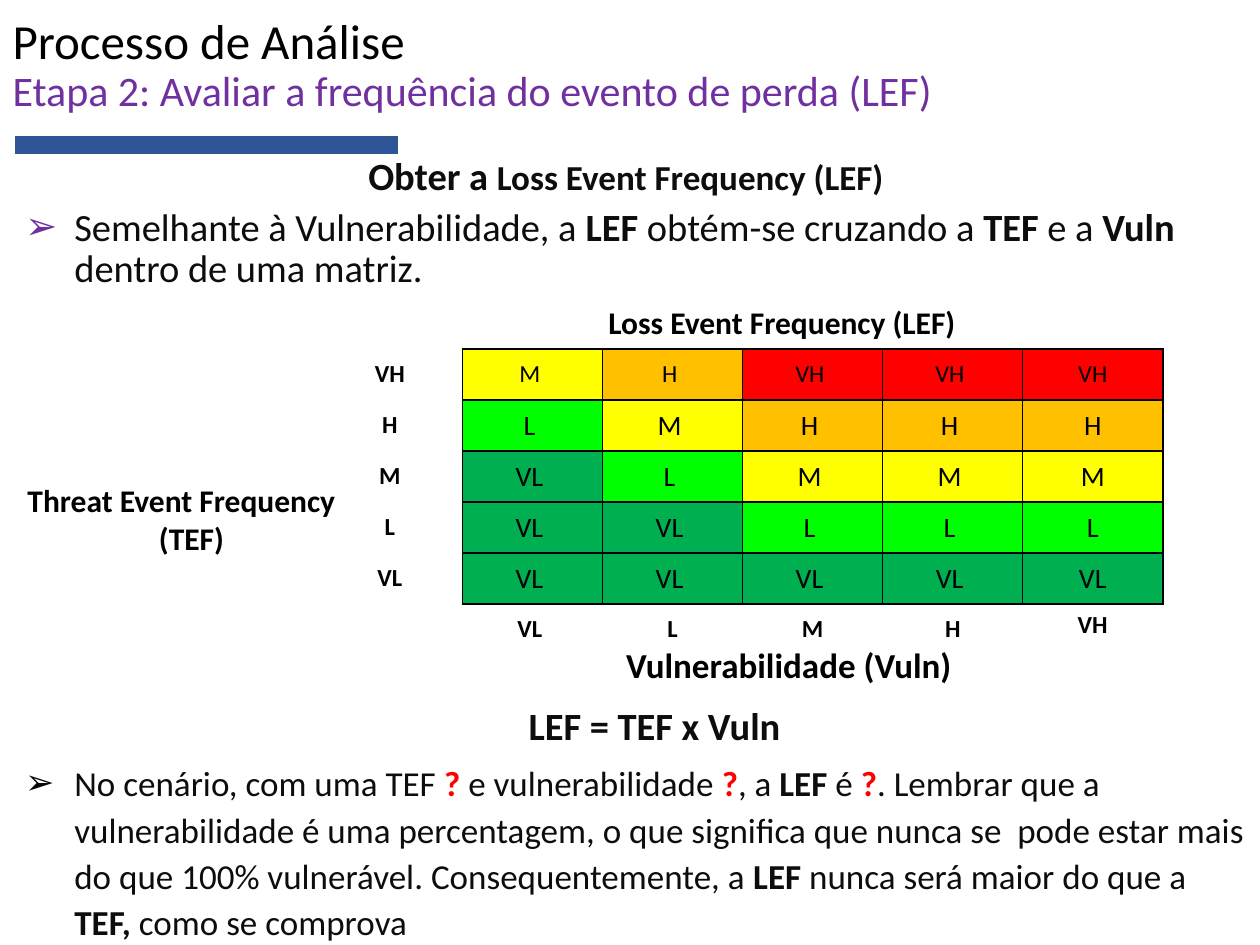
from lxml.etree import SubElement
from pptx import Presentation
from pptx.dml.color import RGBColor
from pptx.enum.shapes import MSO_CONNECTOR as Connector
from pptx.enum.text import MSO_ANCHOR as Anchor, MSO_AUTO_SIZE as AutoSize, PP_ALIGN as Align
from pptx.oxml import parse_xml
from pptx.oxml.ns import nsdecls, qn
from pptx.util import Inches, Pt

BLACK, INK, PURPLE, RED, BLUE = "000000", "0D0D0D", "7030A0", "FF0000", "2F5597"
LEVEL_FILLS = {"VL": "00B050", "L": "00FF00", "M": "FFFF00", "H": "FFC000", "VH": RED}
LEVELS = list(LEVEL_FILLS)
MATRIX = [
    ("VH", ["M", "H", "VH", "VH", "VH"]),
    ("H", ["L", "M", "H", "H", "H"]),
    ("M", ["VL", "L", "M", "M", "M"]),
    ("L", ["VL", "VL", "L", "L", "L"]),
    ("VL", ["VL", "VL", "VL", "VL", "VL"]),
]


def rgb(value):
    return RGBColor.from_string(value)


def add_run(p, text, size, color=BLACK, bold=False):
    r = p.add_run()
    r.text = text
    r.font.name = "Calibri"
    r.font.size = Pt(size)
    r.font.bold = bold
    r.font.color.rgb = rgb(color)


def place(sp, x, y, w, h):
    sp.left, sp.top, sp.width, sp.height = Inches(x), Inches(y), Inches(w), Inches(h)


def set_bullet(p, color=None):
    pPr = p._p.get_or_add_pPr()
    pPr.set("marL", str(Inches(0.49 if color else 0)))
    pPr.set("indent", str(Inches(-0.39 if color else 0)))
    if color:
        clr = SubElement(pPr, qn("a:buClr"))
        SubElement(clr, qn("a:srgbClr"), val=color)
        SubElement(pPr, qn("a:buChar"), char="➢")
    else:
        SubElement(pPr, qn("a:buNone"))


def add_title(s, x, y, w, h):
    sp = s.shapes.title
    place(sp, x, y, w, h)
    tf = sp.text_frame
    tf.auto_size = AutoSize.NONE
    tf.vertical_anchor = Anchor.MIDDLE
    p = tf.paragraphs[0]
    p.alignment = Align.LEFT
    p.line_spacing = 0.9
    add_run(p, "Processo de Análise", 28)
    p.add_line_break()
    add_run(p, "Etapa 2: Avaliar a frequência do evento de perda (LEF)", 24, PURPLE)


def add_rule(s, x, y, w):
    line = s.shapes.add_connector(
        Connector.STRAIGHT, Inches(x), Inches(y), Inches(x + w), Inches(y))
    line.line.color.rgb = rgb(BLUE)
    line.line.width = Pt(10)
    SubElement(line._element.spPr, qn("a:effectLst"))


def add_body(s, x, y, w, h):
    sp = s.placeholders[1]
    place(sp, x, y, w, h)
    tf = sp.text_frame
    tf.auto_size = AutoSize.NONE
    tf.vertical_anchor = Anchor.TOP

    def add_paragraph(p, runs, size, before=5, spacing=0.9, bullet=None):
        set_bullet(p, bullet)
        p.alignment = Align.LEFT if bullet else Align.CENTER
        p.line_spacing = spacing
        p.space_before = Pt(before)
        for text, bold in runs:
            add_run(p, text, size, RED if text.strip() == "?" else INK, bold)

    heading = tf.paragraphs[0]
    add_paragraph(heading, [("Obter a ", True)], 22, before=0)
    add_run(heading, "Loss Event Frequency (LEF) ", 20, INK, True)
    add_paragraph(tf.add_paragraph(), [
        ("Semelhante à Vulnerabilidade, a ", False), ("LEF", True),
        (" obtém-se cruzando a ", False), ("TEF", True), (" e a ", False),
        ("Vuln", True), (" dentro de uma matriz.", False),
    ], 22, bullet=PURPLE)
    formula = tf.add_paragraph()
    add_paragraph(formula, [("LEF = TEF x Vuln", True)], 22, before=238)
    formula._p.pPr.set("marL", str(Inches(0.39)))
    add_paragraph(tf.add_paragraph(), [
        ("No cenário, com uma TEF ", False), ("? ", True),
        ("e vulnerabilidade ", False), ("?", True), (", a ", False),
        ("LEF", True), (" é ", False), ("?", True),
        (". Lembrar que a vulnerabilidade é uma percentagem, o que significa que "
         "nunca se  pode estar mais do que 100% vulnerável. Consequentemente, a ", False),
        ("LEF", True), (" nunca será maior do que a ", False), ("TEF,", True),
        (" como se comprova", False),
    ], 20, spacing=1.1, bullet="050309")


def add_label(s, x, y, w, h, lines, size, wrap=False):
    tf = s.shapes.add_textbox(Inches(x), Inches(y), Inches(w), Inches(h)).text_frame
    tf.word_wrap = wrap
    for i, (text, align) in enumerate(lines):
        p = tf.add_paragraph() if i else tf.paragraphs[0]
        p.alignment = align
        add_run(p, text, size, bold=True)


def set_borders(cell, sides):
    tcPr = cell._tc.get_or_add_tcPr()
    for i, side in enumerate("LRTB"):
        fill = (f'<a:solidFill><a:srgbClr val="{BLACK}"/></a:solidFill>'
                if side in sides else "<a:noFill/>")
        tcPr.insert(i, parse_xml(
            f'<a:ln{side} {nsdecls("a")} w="{Pt(1)}">{fill}</a:ln{side}>'))


def set_cell(cell, text, size, bold=False, fill=None, sides=""):
    cell.vertical_anchor = Anchor.MIDDLE
    if fill:
        cell.fill.solid()
        cell.fill.fore_color.rgb = rgb(fill)
    else:
        cell.fill.background()
    set_borders(cell, sides)
    if text:
        p = cell.text_frame.paragraphs[0]
        p.alignment = Align.CENTER
        add_run(p, text, size, bold=bold)


def add_matrix(s, x, y, w, h):
    rows, cols = len(MATRIX) + 1, len(LEVELS) + 1
    table = s.shapes.add_table(
        rows, cols, Inches(x), Inches(y), Inches(w), Inches(h)).table
    table.first_row = table.horz_banding = False
    for i, (tef, values) in enumerate(MATRIX):
        set_cell(table.cell(i, 0), tef + " ", 14, True, sides="R")
        for j, value in enumerate(values, 1):
            text = value if j == len(values) else value + " "
            set_cell(table.cell(i, j), text, 16 if i else 14,
                     fill=LEVEL_FILLS[value], sides="LRTB")
    set_cell(table.cell(rows - 1, 0), "", 14)
    for j, vuln in enumerate(LEVELS, 1):
        text = vuln + " " if j == 1 else vuln
        set_cell(table.cell(rows - 1, j), text, 14, True, sides="T")
    table.cell(rows - 1, cols - 1).vertical_anchor = Anchor.TOP


def main():
    prs = Presentation()
    prs.slide_width, prs.slide_height = Inches(10), Inches(7.5)
    s = prs.slides.add_slide(prs.slide_layouts[1])
    add_rule(s, 0.12, 1.15, 3.04)
    add_title(s, 0, -0.08, 10, 1.21)
    add_body(s, 0, 1.2, 10, 6.3)
    add_label(s, 4.87, 5.06, 2.88, 0.44, [("Vulnerabilidade (Vuln)", Align.LEFT)], 20)
    add_label(s, 0.12, 3.77, 2.8, 0.71,
              [("Threat Event Frequency", Align.JUSTIFY), ("(TEF)", Align.CENTER)],
              18, wrap=True)
    add_label(s, 4.73, 2.36, 3.14, 0.4, [("Loss Event Frequency (LEF)", Align.LEFT)], 18)
    add_matrix(s, 2.56, 2.77, 6.67, 2.43)
    prs.save("out.pptx")


if __name__ == "__main__":
    main()
